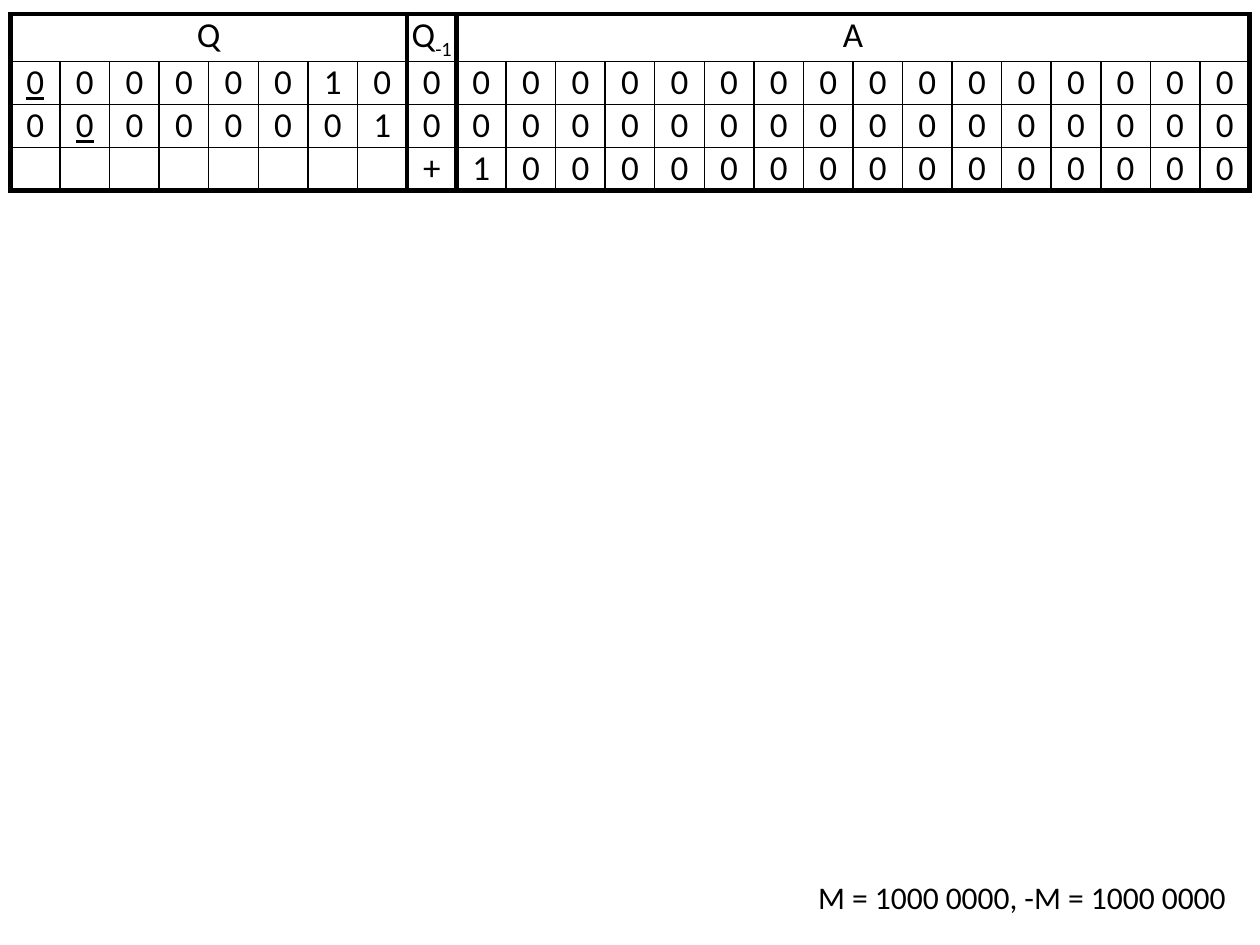
"""Build the slide with the first steps of a binary multiplication."""
from dataclasses import dataclass

from lxml import etree
from pptx import Presentation
from pptx import util as u
from pptx.dml.color import RGBColor
from pptx.enum import text
from pptx.oxml import ns


@dataclass(frozen=True)
class Theme:
    font: str = "Calibri"
    ink: str = "000000"
    table_size: float = 20
    note_size: float = 18
    thin: float = 1
    thick: float = 3


@dataclass(frozen=True)
class Register:
    name: str
    subscript: str
    first: int
    width: int

    @property
    def last(self) -> int:
        return self.first + self.width - 1


THEME = Theme()
REGISTERS = (Register("Q", "", 0, 8), Register("Q", "-1", 8, 1), Register("A", "", 9, 16))
STEPS = (
    "00000010" + "0" + "0" * 16,
    "00000001" + "0" + "0" * 16,
    " " * 8 + "+" + "1" + "0" * 15,
)
UNDERLINED = {(1, 0), (2, 1)}
COLUMNS = len(STEPS[0])
COLUMN_WIDTH, ROW_HEIGHT = 28.32, 23


def style_span(span, size: float) -> None:
    """Give a run the common font and colour."""
    span.font.name = THEME.font
    span.font.size = u.Pt(size)
    span.font.color.rgb = RGBColor.from_string(THEME.ink)


def draw_borders(cell, left: float, right: float, top: float, bottom: float) -> None:
    """Draw the four borders of a cell with the given widths."""
    properties = cell._tc.get_or_add_tcPr()
    for index, (side, width) in enumerate(zip("LRTB", (left, right, top, bottom))):
        line = etree.Element(ns.qn(f"a:ln{side}"), w=str(u.Pt(width)))
        fill = etree.SubElement(line, ns.qn("a:solidFill"))
        etree.SubElement(fill, ns.qn("a:srgbClr"), val=THEME.ink)
        properties.insert(index, line)


def fill_cell(cell, content: str, subscript: str = "", underline: bool = False) -> None:
    """Write centred text into a cell without margins."""
    cell.fill.background()
    cell.margin_left = cell.margin_right = cell.margin_top = cell.margin_bottom = u.Pt(0)
    para = cell.text_frame.paragraphs[0]
    para.alignment = text.PP_ALIGN.CENTER
    for piece in filter(None, (content, subscript)):
        span = para.add_run()
        span.text = piece
        style_span(span, THEME.table_size)
    if subscript:
        para.runs[-1].font._element.set("baseline", "-25000")
    if underline:
        para.runs[0].font.underline = True


def add_registers(page) -> None:
    """Add the table of registers and steps."""
    rows = len(STEPS) + 1
    frame = page.shapes.add_table(rows, COLUMNS, u.Pt(6), u.Pt(8),
                                  u.Pt(COLUMN_WIDTH * COLUMNS), u.Pt(ROW_HEIGHT * rows))
    table = frame.table
    table.first_row = table.horz_banding = False
    for column in table.columns:
        column.width = u.Pt(COLUMN_WIDTH)
    for register in REGISTERS:
        header = table.cell(0, register.first)
        if register.width > 1:
            header.merge(table.cell(0, register.last))
        fill_cell(header, register.name, register.subscript)
        draw_borders(header, THEME.thick, THEME.thick, THEME.thick, THEME.thin)
    starts = {register.first for register in REGISTERS}
    ends = {register.last for register in REGISTERS}
    for row, step in enumerate(STEPS, start=1):
        for column, digit in enumerate(step):
            cell = table.cell(row, column)
            fill_cell(cell, digit.strip(), underline=(row, column) in UNDERLINED)
            draw_borders(cell,
                         THEME.thick if column in starts else THEME.thin,
                         THEME.thick if column in ends else THEME.thin,
                         THEME.thin,
                         THEME.thick if row == len(STEPS) else THEME.thin)


def add_note(page) -> None:
    """Add the values of the multiplicand at the lower right."""
    box = page.shapes.add_textbox(u.Pt(432), u.Pt(498.24), u.Pt(275.76), u.Pt(29))
    box.text_frame.word_wrap = True
    para = box.text_frame.paragraphs[0]
    para.text = "M = 1000 0000, -M = 1000 0000"
    para.alignment = text.PP_ALIGN.RIGHT
    style_span(para.runs[0], THEME.note_size)


def main() -> None:
    """Build and save the deck."""
    deck = Presentation()
    deck.slide_width, deck.slide_height = u.Pt(720), u.Pt(540)
    page = deck.slides.add_slide(deck.slide_layouts[6])
    add_registers(page)
    add_note(page)
    deck.save("out.pptx")


main()
